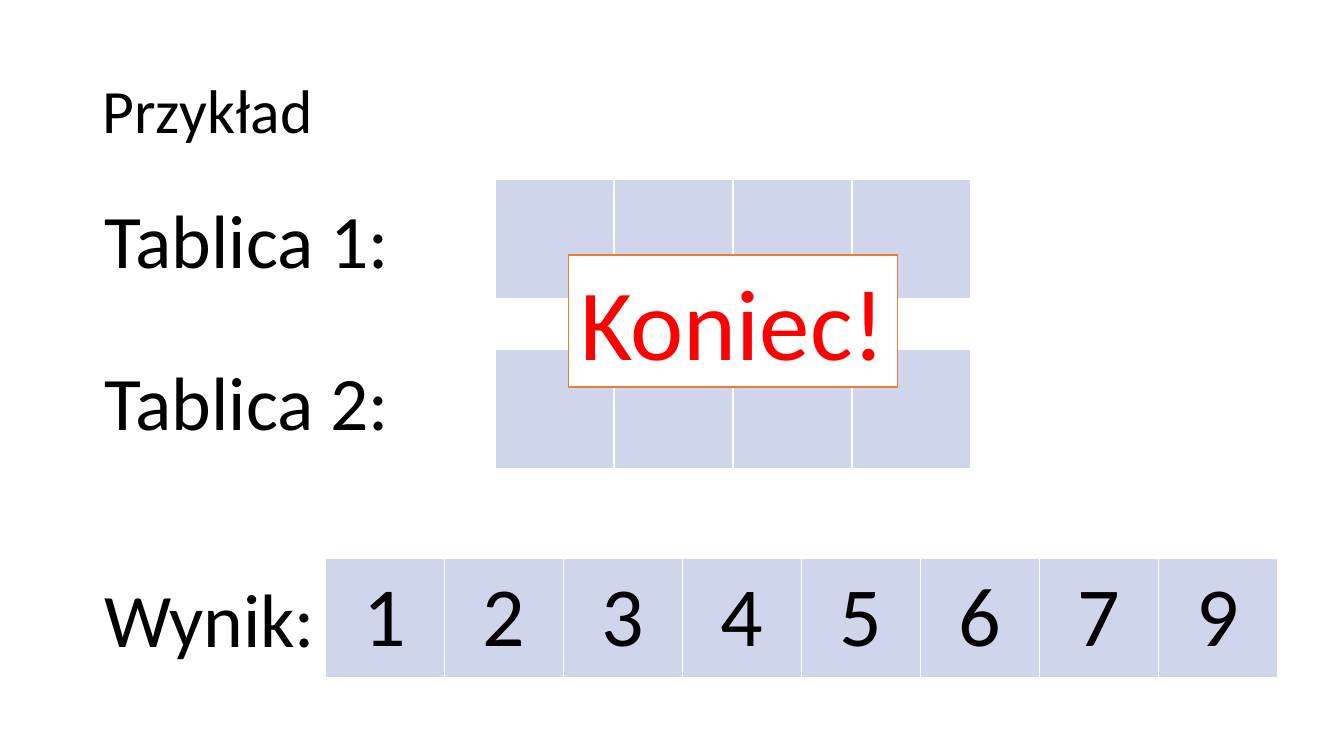
from dataclasses import dataclass

from lxml import etree
from pptx import Presentation
from pptx.dml.color import RGBColor
from pptx.enum.shapes import MSO_SHAPE
from pptx.enum.text import MSO_ANCHOR, PP_ALIGN
from pptx.oxml.ns import qn
from pptx.shapes.base import BaseShape
from pptx.slide import Slide
from pptx.table import _Cell
from pptx.util import Inches, Pt

LEFT, CENTER = PP_ALIGN.LEFT, PP_ALIGN.CENTER
TOP, MIDDLE = MSO_ANCHOR.TOP, MSO_ANCHOR.MIDDLE
RECTANGLE = MSO_SHAPE.RECTANGLE

FONT = "Calibri"
BLACK, WHITE, RED, ORANGE, CELL_FILL = "000000", "FFFFFF", "FF0000", "ED7D31", "CFD5EA"
CELL_SIZE = 1.18
MARGIN = 0.92


@dataclass(frozen=True)
class Label:
    text: str
    top: float
    width: float
    height: float = 1.01
    size: int = 54
    align: PP_ALIGN = CENTER
    anchor: MSO_ANCHOR = TOP
    wrap: bool = False
    line_spacing: float = 1.0


@dataclass(frozen=True)
class ArrayRow:
    left: float
    top: float
    values: tuple[str, ...]


LABELS = (
    Label("Przykład", 0.4, 11.5, 1.45, 44, LEFT, MIDDLE, True, 0.9),
    Label("Tablica 1:", 1.86, 3.06),
    Label("Tablica 2:", 3.47, 3.06),
    Label("Wynik:", 5.62, 2.32),
)
ARRAYS = (
    ArrayRow(4.91, 1.78, ("",) * 4),
    ArrayRow(4.91, 3.47, ("",) * 4),
    ArrayRow(3.23, 5.54, tuple("12345679")),
)


def color(value: str) -> RGBColor:
    return RGBColor.from_string(value)


def write(target: BaseShape | _Cell, text: str, size: int, align: PP_ALIGN,
          font_color: str = BLACK) -> None:
    paragraph = target.text_frame.paragraphs[0]
    paragraph.text = text
    paragraph.alignment = align
    font = paragraph.font
    font.name, font.size = FONT, Pt(size)
    font.color.rgb = color(font_color)


def add_label(slide: Slide, label: Label) -> None:
    shape = slide.shapes.add_textbox(
        Inches(MARGIN), Inches(label.top), Inches(label.width), Inches(label.height))
    write(shape, label.text, label.size, label.align)
    shape.text_frame.word_wrap = label.wrap
    shape.text_frame.vertical_anchor = label.anchor
    shape.text_frame.paragraphs[0].line_spacing = label.line_spacing


def set_borders(cell: _Cell) -> None:
    properties = cell._tc.get_or_add_tcPr()
    for index, side in enumerate(("lnL", "lnR", "lnT", "lnB")):
        line = etree.Element(qn(f"a:{side}"), w=str(Pt(1)))
        fill = etree.SubElement(line, qn("a:solidFill"))
        etree.SubElement(fill, qn("a:srgbClr"), val=WHITE)
        properties.insert(index, line)


def add_array(slide: Slide, array: ArrayRow) -> None:
    count = len(array.values)
    table = slide.shapes.add_table(
        1, count, Inches(array.left), Inches(array.top),
        Inches(CELL_SIZE * count), Inches(CELL_SIZE)).table
    table.first_row = table.horz_banding = False
    for cell, value in zip(table.iter_cells(), array.values):
        cell.fill.solid()
        cell.fill.fore_color.rgb = color(CELL_FILL)
        set_borders(cell)
        if value:
            cell.vertical_anchor = MIDDLE
            write(cell, value, 60, CENTER)


def add_end_banner(slide: Slide) -> None:
    banner = slide.shapes.add_shape(
        RECTANGLE, Inches(5.64), Inches(2.53), Inches(3.26), Inches(1.31))
    banner.shadow.inherit = False
    banner.fill.solid()
    banner.fill.fore_color.rgb = color(WHITE)
    banner.line.color.rgb = color(ORANGE)
    banner.line.width = Pt(1)
    banner.text_frame.word_wrap = False
    banner.text_frame.vertical_anchor = TOP
    write(banner, "Koniec!", 72, CENTER, RED)


def main() -> None:
    presentation = Presentation()
    presentation.slide_width = Inches(13.33)
    presentation.slide_height = Inches(7.5)
    slide = presentation.slides.add_slide(presentation.slide_layouts[6])
    for label in LABELS:
        add_label(slide, label)
    for array in ARRAYS:
        add_array(slide, array)
    add_end_banner(slide)
    presentation.save("out.pptx")


if __name__ == "__main__":
    main()
